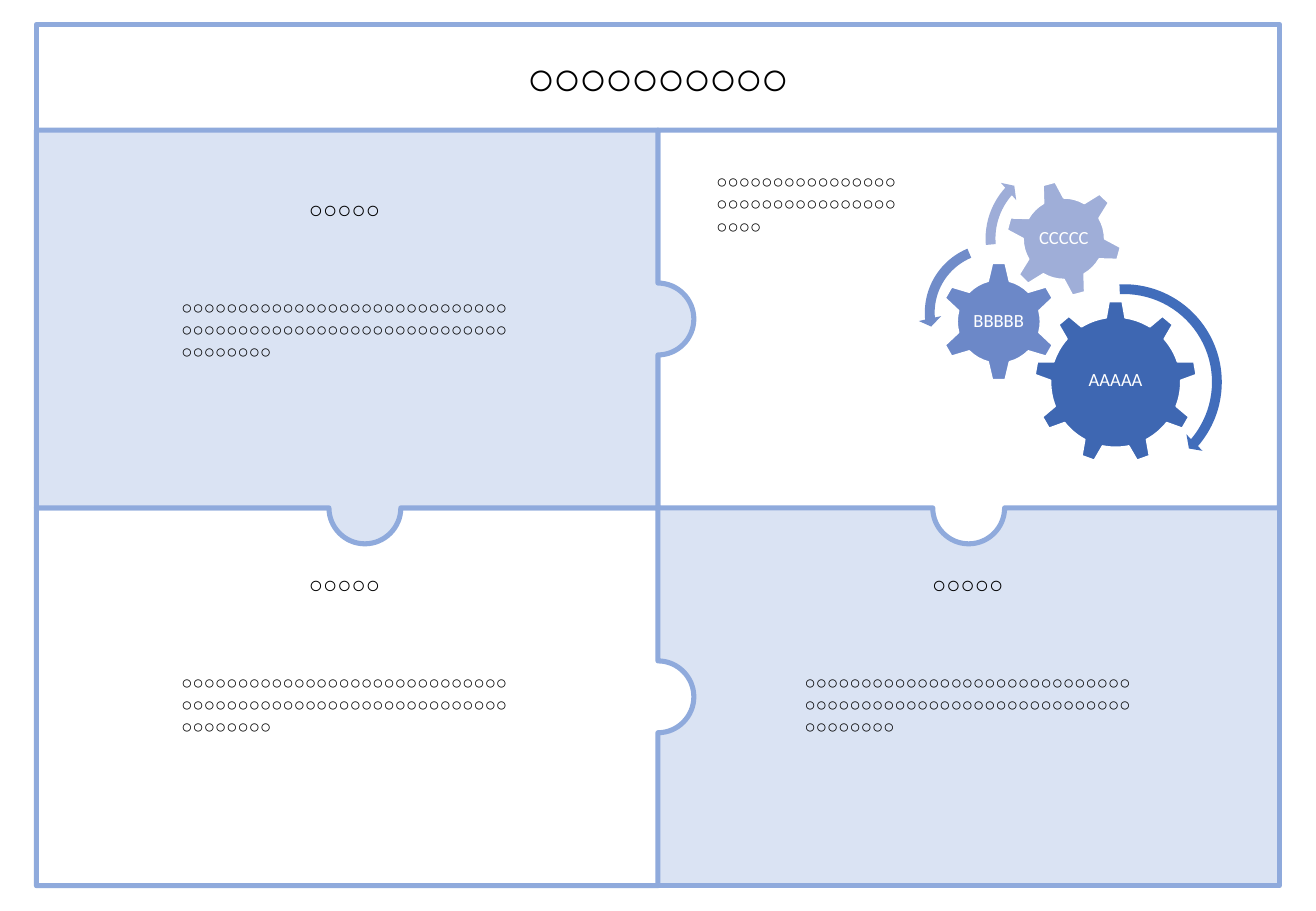
"""Build a jigsaw slide: a titled header, four interlocking pieces and a gear diagram."""
from dataclasses import dataclass

from pptx import Presentation
from pptx.dml.color import RGBColor
from pptx.enum.shapes import MSO_SHAPE
from pptx.enum.text import MSO_ANCHOR, PP_ALIGN
from pptx.oxml.ns import qn
from pptx.oxml.xmlchemy import OxmlElement
from pptx.util import Pt


@dataclass(frozen=True)
class Theme:
    font: str = "Arial"
    gear_font: str = "Calibri"
    ink: str = "000000"
    white: str = "FFFFFF"
    tint: str = "DAE3F3"
    border: str = "8FAADC"
    title_size: int = 28
    heading_size: int = 14
    body_size: int = 11


theme = Theme()


def paint(shape, fill, line=None, width=0):
    shape.shadow.inherit = False
    shape.fill.solid()
    shape.fill.fore_color.rgb = RGBColor.from_string(fill)
    if line:
        shape.line.color.rgb = RGBColor.from_string(line)
        shape.line.width = Pt(width)
    else:
        shape.line.fill.background()


def write(box, text, size, align, color=theme.ink, font=theme.font):
    frame = box.text_frame
    frame.word_wrap = True
    frame.text = text
    para = frame.paragraphs[0]
    para.alignment = align
    span = para.runs[0]
    span.font.name = font
    span.font.size = Pt(size)
    span.font.color.rgb = RGBColor.from_string(color)
    return span


deck = Presentation()
deck.slide_width, deck.slide_height = Pt(780), Pt(540)
page = deck.slides.add_slide(deck.slide_layouts[5])

left, middle, right = 21.6, 390, 758.4
header_top, top, center, bottom = 14.4, 77.2, 301.1, 525

last_piece = page.shapes.add_shape(
    MSO_SHAPE.RECTANGLE, Pt(middle), Pt(center), Pt(right - middle), Pt(bottom - center))
paint(last_piece, theme.tint, theme.border, 3)

header = page.shapes.add_shape(
    MSO_SHAPE.RECTANGLE, Pt(left), Pt(header_top), Pt(right - left), Pt(top - header_top))
paint(header, theme.white, theme.border, 3)

title = page.shapes.title
title.left, title.top, title.width, title.height = Pt(111), Pt(25.2), Pt(558), Pt(41)
header.element.addnext(title.element)
title.text_frame.vertical_anchor = MSO_ANCHOR.TOP
title_span = write(title, "○○○○○○○○○○", theme.title_size, PP_ALIGN.CENTER)
title_span.font.bold = True
title_span.font._element.set("spc", "-150")

radius = 21.3
handle = radius * 0.55
knob = [(handle, -radius), (radius, -handle), (radius, 0),
        (radius, handle), (handle, radius), (0, radius)]
pieces = [
    (middle, right, top, center, False, 574.2, theme.white),
    (left, middle, center, bottom, True, None, theme.white),
    (left, middle, top, center, True, 216.3, theme.tint),
]
for x1, x2, y1, y2, side_knob, knob_x, fill in pieces:
    points, curve_starts = [(x2, y1)], []
    if side_knob:
        knob_y = (y1 + y2) / 2
        points.append((x2, knob_y - radius))
        curve_starts += [len(points), len(points) + 3]
        points += [(x2 + dx, knob_y + dy) for dx, dy in knob]
    points.append((x2, y2))
    if knob_x:
        points.append((knob_x + radius, y2))
        curve_starts += [len(points), len(points) + 3]
        points += [(knob_x - dy, y2 + dx) for dx, dy in knob]
    points.append((x1, y2))
    builder = page.shapes.build_freeform(Pt(x1), Pt(y1))
    builder.add_line_segments([(Pt(x), Pt(y)) for x, y in points], close=True)
    piece = builder.convert_to_shape()
    paint(piece, fill, theme.border, 3)
    segments = list(piece.element.iter(qn("a:lnTo")))
    for start in curve_starts:
        curve = OxmlElement("a:cubicBezTo")
        segments[start].addprevious(curve)
        for segment in segments[start:start + 3]:
            curve.append(segment[0])
            segment.getparent().remove(segment)

for x, y in [(100.5, 112), (469.9, 334.1), (100.5, 334.1)]:
    body = page.shapes.add_textbox(Pt(x), Pt(y + 59.8), Pt(208.4), Pt(60.5))
    write(body, "○" * 66, theme.body_size, PP_ALIGN.JUSTIFY)
    heading = page.shapes.add_textbox(Pt(x + 54), Pt(y), Pt(99.4), Pt(24.5))
    write(heading, "○○○○○", theme.heading_size, PP_ALIGN.CENTER)

gears = [
    ("AAAAA", MSO_SHAPE.GEAR_9, 661.3, 226.6, 96.5, 0, 1, "3E67B2"),
    ("BBBBB", MSO_SHAPE.GEAR_6, 592, 190.6, 70.6, 0, 0, "6C88C8"),
    ("CCCCC", MSO_SHAPE.GEAR_6, 630.6, 141.5, 69.1, 345, 0, "9FAED8"),
]
label_width, label_height = 57.6, 36
for name, kind, x, y, size, turn, lift, fill in gears:
    gear = page.shapes.add_shape(kind, Pt(x - size / 2), Pt(y - size / 2), Pt(size), Pt(size))
    gear.rotation = turn
    paint(gear, fill, theme.white, 1)
    label = page.shapes.add_textbox(
        Pt(x - label_width / 2), Pt(y - lift - label_height / 2),
        Pt(label_width), Pt(label_height))
    write(label, name, theme.body_size, PP_ALIGN.CENTER, theme.white, theme.gear_font)
    frame = label.text_frame
    frame.margin_left = frame.margin_right = frame.margin_top = frame.margin_bottom = Pt(1.4)
    frame.vertical_anchor = MSO_ANCHOR.MIDDLE
    frame.paragraphs[0].line_spacing = 0.9

arrows = [
    (MSO_SHAPE.CIRCULAR_ARROW, 604.3, 164.6, 123.8,
     (4700, 299000, 2438000, 16041400, 5500), "416DBB"),
    (MSO_SHAPE.LEFT_CIRCULAR_ARROW, 544.3, 140.4, 90,
     (6500, 430000, 10489100, 14837800, 7500), "708CC9"),
    (MSO_SHAPE.CIRCULAR_ARROW, 580.3, 92.8, 97.2,
     (6000, 394100, 13313800, 10508200, 7000), "9EADD8"),
]
for kind, x, y, size, bends, fill in arrows:
    arrow = page.shapes.add_shape(kind, Pt(x), Pt(y), Pt(size), Pt(size))
    for index, bend in enumerate(bends):
        arrow.adjustments[index] = bend / 100000
    paint(arrow, fill)

gear_note = page.shapes.add_textbox(Pt(417.6), Pt(97.3), Pt(126.7), Pt(60.5))
write(gear_note, "○" * 36, theme.body_size, PP_ALIGN.JUSTIFY)

deck.save("out.pptx")
